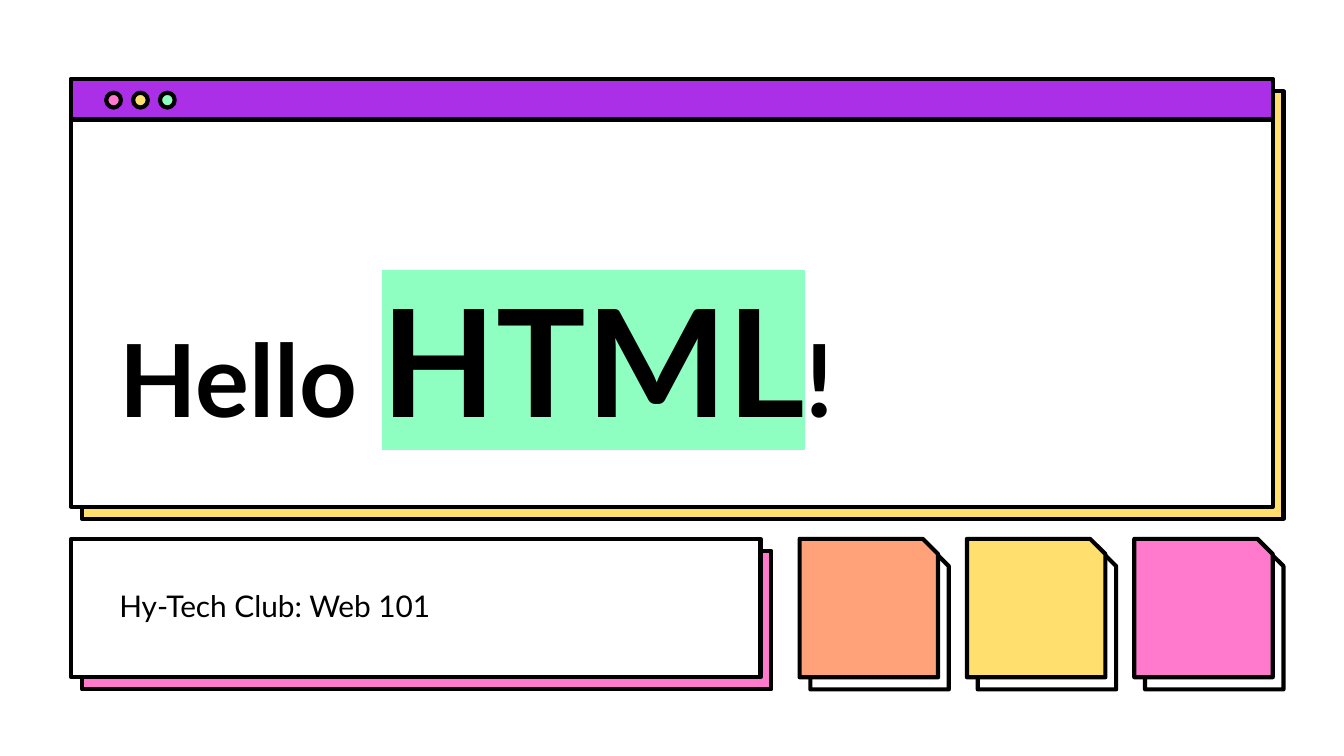
from typing import NamedTuple, Optional

from lxml.etree import SubElement
from pptx import Presentation
from pptx.dml.color import RGBColor
from pptx.enum.shapes import MSO_SHAPE
from pptx.enum.text import MSO_ANCHOR
from pptx.oxml.ns import qn
from pptx.util import Inches, Pt

BLACK = RGBColor(0x00, 0x00, 0x00)
WHITE = RGBColor(0xFF, 0xFF, 0xFF)
YELLOW = RGBColor(0xFF, 0xDF, 0x6D)
PINK = RGBColor(0xFF, 0x7A, 0xCD)
PURPLE = RGBColor(0xAA, 0x2F, 0xE6)
MINT = RGBColor(0x8F, 0xFF, 0xC1)
ORANGE = RGBColor(0xFF, 0xA2, 0x7A)

SLIDE_WIDTH = 10
SHADOW_RIGHT = 0.08
SHADOW_DOWN = 0.09
LEFT = 0.53
LOWER_TOP = 4.01
CARD_SIZE = 1.03
FIRST_CARD_LEFT = 5.95
LAST_CARD_LEFT = 8.44


class Box(NamedTuple):
    left: float
    top: float
    width: float
    height: float

    def shadow(self) -> "Box":
        return self._replace(left=self.left + SHADOW_RIGHT, top=self.top + SHADOW_DOWN)

    def lengths(self) -> list[Inches]:
        return [Inches(value) for value in self]


class Words(NamedTuple):
    text: str
    size: float
    bold: bool = False
    highlight: Optional[RGBColor] = None


def draw_outlined(slide, preset: MSO_SHAPE, box: Box, fill: RGBColor) -> None:
    shape = slide.shapes.add_shape(preset, *box.lengths())
    shape.shadow.inherit = False
    shape.fill.solid()
    shape.fill.fore_color.rgb = fill
    shape.line.color.rgb = BLACK
    shape.line.width = Pt(2.25)
    SubElement(shape.element.spPr.find(qn("a:ln")), qn("a:round"))
    if preset == MSO_SHAPE.SNIP_1_RECTANGLE:
        shape.adjustments[0] = 0.11


def draw_with_shadow(slide, preset: MSO_SHAPE, box: Box,
                     fill: RGBColor, shadow: RGBColor) -> None:
    draw_outlined(slide, preset, box.shadow(), shadow)
    draw_outlined(slide, preset, box, fill)


def draw_text(slide, box: Box, anchor: MSO_ANCHOR, line: list[Words]) -> None:
    frame = slide.shapes.add_textbox(*box.lengths()).text_frame
    frame_format = {"word_wrap": True, "vertical_anchor": anchor}
    for side in ("left", "top", "right", "bottom"):
        frame_format[f"margin_{side}"] = Inches(0.1)
    for name, value in frame_format.items():
        setattr(frame, name, value)

    for words in line:
        run = frame.paragraphs[0].add_run()
        run.text = words.text
        font_format = {"name": "Lato", "size": Pt(words.size), "bold": words.bold}
        for name, value in font_format.items():
            setattr(run.font, name, value)
        run.font.color.rgb = BLACK
        if words.highlight is not None:
            properties = run._r.get_or_add_rPr()
            highlight = SubElement(properties, qn("a:highlight"))
            SubElement(highlight, qn("a:srgbClr"), val=str(words.highlight))
            # The schema wants the highlight right after the text fill
            properties.find(qn("a:solidFill")).addnext(highlight)


def main() -> None:
    # Widescreen slide, 16 to 9
    presentation = Presentation()
    presentation.slide_width = Inches(SLIDE_WIDTH)
    presentation.slide_height = Inches(SLIDE_WIDTH * 9 / 16)
    slide = presentation.slides.add_slide(presentation.slide_layouts[6])

    # Browser window and subtitle panel
    window = Box(LEFT, 0.59, 8.94, 3.18)
    panel = Box(LEFT, LOWER_TOP, 5.13, CARD_SIZE)
    draw_with_shadow(slide, MSO_SHAPE.RECTANGLE, window, WHITE, YELLOW)
    draw_with_shadow(slide, MSO_SHAPE.RECTANGLE, panel, WHITE, PINK)

    # Title bar with its three buttons
    draw_outlined(slide, MSO_SHAPE.RECTANGLE, window._replace(height=0.3), PURPLE)
    for index, color in enumerate((PINK, YELLOW, MINT)):
        button = Box(0.79 + 0.2 * index, 0.69, 0.11, 0.11)
        draw_outlined(slide, MSO_SHAPE.OVAL, button, color)

    # Snipped cards
    card_colors = (ORANGE, YELLOW, PINK)
    card_step = (LAST_CARD_LEFT - FIRST_CARD_LEFT) / (len(card_colors) - 1)
    for index, color in enumerate(card_colors):
        card = Box(FIRST_CARD_LEFT + card_step * index, LOWER_TOP, CARD_SIZE, CARD_SIZE)
        draw_with_shadow(slide, MSO_SHAPE.SNIP_1_RECTANGLE, card, color, WHITE)

    # Title and subtitle
    draw_text(slide, Box(0.79, 1.24, 8.43, 2.19), MSO_ANCHOR.BOTTOM, [
        Words("Hello ", 54, bold=True),
        Words("HTML", 80, bold=True, highlight=MINT),
        Words("!", 54, bold=True),
    ])
    draw_text(slide, Box(0.79, 4.27, 4.54, 0.49), MSO_ANCHOR.TOP,
              [Words("Hy-Tech Club: Web 101", 16)])

    presentation.save("out.pptx")


if __name__ == "__main__":
    main()
